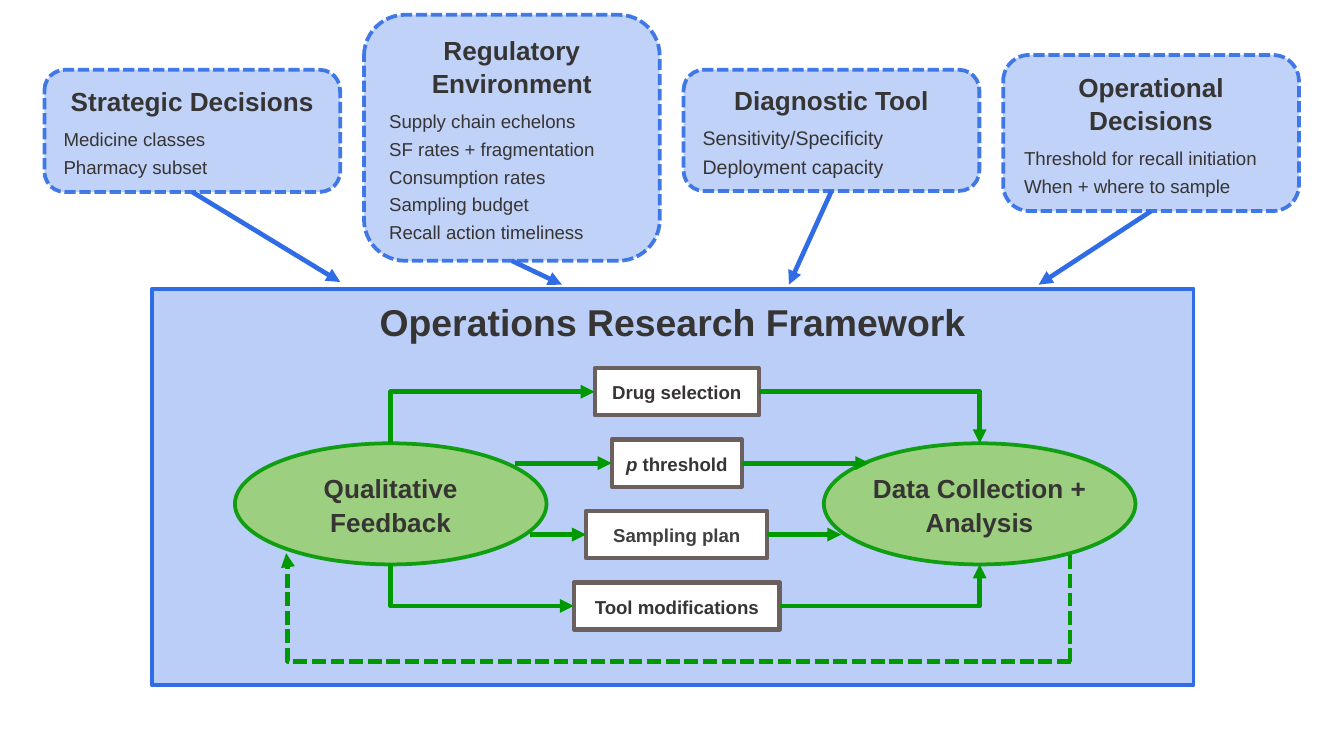
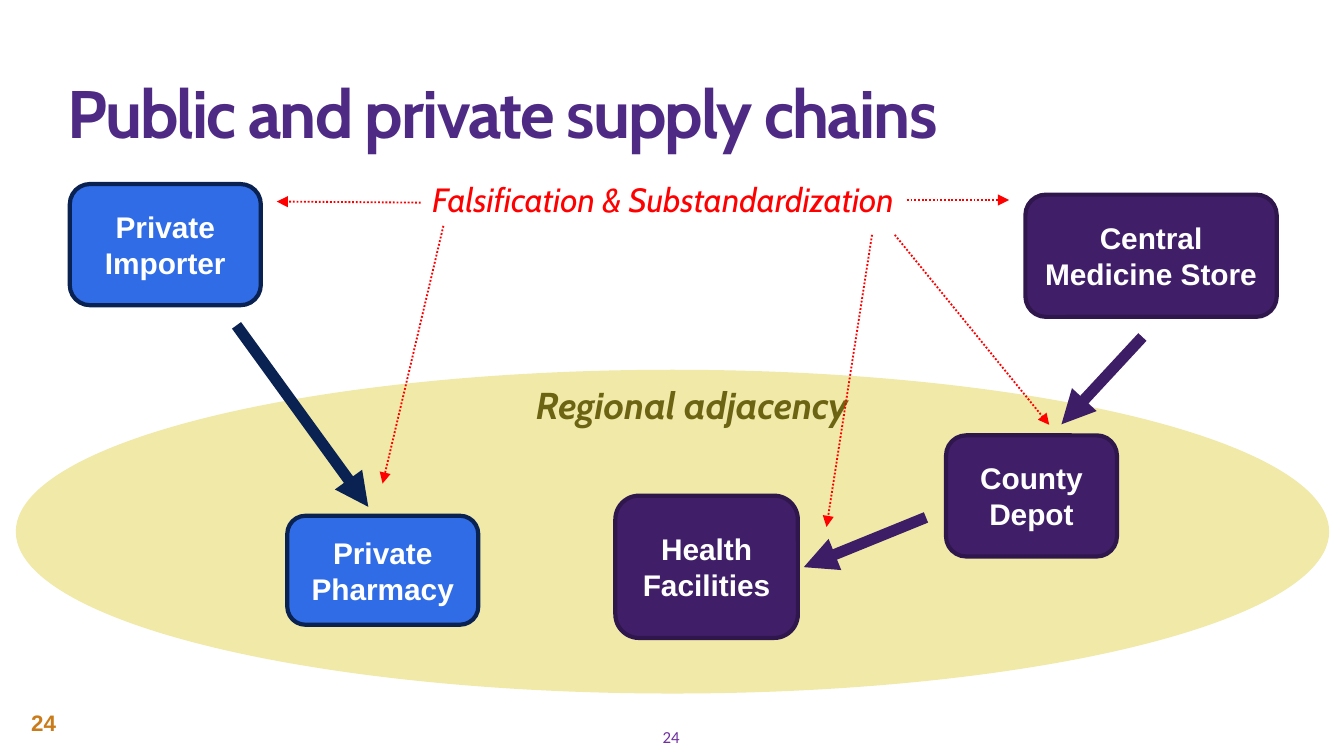
from lxml import etree
from pptx import Presentation
from pptx import util as u
from pptx.dml.color import RGBColor
from pptx.enum import dml, shapes, text
from pptx.oxml.ns import qn

WHITE = RGBColor(0xFF, 0xFF, 0xFF)
INK = RGBColor(0x37, 0x34, 0x34)
GREY_INK = RGBColor(0x40, 0x40, 0x40)
BLUE = RGBColor(0x2F, 0x6C, 0xE6)
PALE_BLUE = RGBColor(0xBA, 0xCE, 0xF7)
NAVY = RGBColor(0x0A, 0x22, 0x51)
GREEN = RGBColor(0x00, 0x99, 0x00)
LIME = RGBColor(0x92, 0xD0, 0x50)
TAUPE = RGBColor(0x6B, 0x60, 0x5E)
PURPLE = RGBColor(0x40, 0x1F, 0x68)
DARK_PURPLE = RGBColor(0x2F, 0x17, 0x4D)
ARROW_PURPLE = RGBColor(0x3E, 0x1D, 0x67)
TITLE_PURPLE = RGBColor(0x4E, 0x2A, 0x84)
PAGE_PURPLE = RGBColor(0x70, 0x30, 0xA0)
ORANGE = RGBColor(0xCA, 0x7C, 0x1B)
SAND = RGBColor(0xF0, 0xE9, 0xA8)
OLIVE = RGBColor(0x6C, 0x64, 0x13)
RED = RGBColor(0xFF, 0x00, 0x00)

RECT = shapes.MSO_SHAPE.RECTANGLE
ROUND = shapes.MSO_SHAPE.ROUNDED_RECTANGLE
OVAL = shapes.MSO_SHAPE.OVAL
STRAIGHT = shapes.MSO_CONNECTOR.STRAIGHT
ELBOW = shapes.MSO_CONNECTOR.ELBOW
DASHED = dml.MSO_LINE.SQUARE_DOT
DOTTED = dml.MSO_LINE.ROUND_DOT
LEFT, CENTER = text.PP_ALIGN.LEFT, text.PP_ALIGN.CENTER
TOP, MIDDLE, BOTTOM = (text.MSO_ANCHOR.TOP, text.MSO_ANCHOR.MIDDLE,
                       text.MSO_ANCHOR.BOTTOM)
SIDE_INSETS = (0.25, 0, 0.25, 0)
NO_INSETS = (0, 0, 0, 0)


def cm(*lengths):
    return [u.Cm(n) for n in lengths]


def write(tf, words, size, color=INK, font="Arial", bold=False, italic=False,
          align=CENTER, spacing=None, after=None, para=None):
    p = para
    if p is None:
        p = tf.paragraphs[0]
        if p.runs:
            p = tf.add_paragraph()
    p.alignment = align
    if spacing:
        p.line_spacing = spacing
    if after is not None:
        p.space_after = u.Pt(after)
    r = p.add_run()
    r.text = words
    r.font.name, r.font.size = font, u.Pt(size)
    r.font.bold, r.font.italic = bold, italic
    r.font.color.rgb = color
    return r


def frame(sp, anchor=MIDDLE, insets=(0.25, 0.13, 0.25, 0.13)):
    tf = sp.text_frame
    tf.word_wrap = True
    tf.vertical_anchor = anchor
    tf.margin_left, tf.margin_top, tf.margin_right, tf.margin_bottom = cm(*insets)
    return tf


def set_alpha(props, percent):
    for clr in props.findall(qn("a:solidFill") + "/" + qn("a:srgbClr")):
        etree.SubElement(clr, qn("a:alpha")).set("val", str(percent * 1000))


def add_box(slide, kind, box, fill, line=None, width=2, dash=None,
            fill_alpha=None, line_alpha=None):
    sp = slide.shapes.add_shape(kind, *cm(*box))
    sp.shadow.inherit = False
    sp.fill.solid()
    sp.fill.fore_color.rgb = fill
    if line is None:
        sp.line.fill.background()
    else:
        sp.line.color.rgb = line
        sp.line.width = u.Pt(width)
        if dash:
            sp.line.dash_style = dash
    props = sp.element.spPr
    if fill_alpha:
        set_alpha(props, fill_alpha)
    if line_alpha:
        set_alpha(props.find(qn("a:ln")), line_alpha)
    return sp


def add_label(slide, box, words, size, anchor=TOP,
              insets=(0.25, 0.13, 0.25, 0.13), **fmt):
    sp = slide.shapes.add_textbox(*cm(*box))
    write(frame(sp, anchor, insets), words, size, **fmt)


def add_line(parent, start, end, color, width=2.5, dash=None, arrow="tailEnd",
             kind=STRAIGHT):
    c = parent.shapes.add_connector(kind, *cm(*start, *end))
    c.line.color.rgb = color
    c.line.width = u.Pt(width)
    if dash:
        c.line.dash_style = dash
    props = c.element.spPr
    if arrow:
        etree.SubElement(props.find(qn("a:ln")), qn("a:" + arrow)).set("type", "triangle")
    etree.SubElement(props, qn("a:effectLst"))
    return c


def add_corner(slide, box, side, oval, at_top, arrow):
    c = add_line(slide, (0, 0), (1, 1), GREEN, arrow=arrow, kind=ELBOW)
    c.element.spPr.find(qn("a:prstGeom")).set("prst", "bentConnector2")
    c.begin_connect(box, side)
    c.end_connect(oval, 0 if at_top else 2)
    if not at_top:
        next(c.element.iter(qn("a:endCxn"))).set("idx", "4")


def input_card(slide, box, heading, items, size, target):
    sp = add_box(slide, ROUND, box, PALE_BLUE, BLUE, dash=DASHED,
                 fill_alpha=90, line_alpha=90)
    tf = frame(sp, insets=SIDE_INSETS)
    write(tf, heading, 14, bold=True, spacing=1.07, after=5)
    for item in items:
        write(tf, item, size, align=LEFT, spacing=1.07, after=2)
    c = add_line(slide, (0, 0), target, BLUE)
    c.begin_connect(sp, 2)


def framework(slide, box):
    x, y, w, h = box
    sp = add_box(slide, RECT, box, PALE_BLUE, BLUE)
    write(frame(sp, TOP), "Operations Research Framework", 20, bold=True,
          spacing=1.07, after=8)

    ovals = []
    for dx, words in ((1.57, "Qualitative Feedback"),
                      (12.7, "Data Collection + Analysis")):
        sp = add_box(slide, OVAL, (x + dx, y + 2.92, 5.89, 2.29), LIME, GREEN,
                     fill_alpha=70, line_alpha=90)
        write(frame(sp, insets=NO_INSETS), words, 14, bold=True, spacing=1.07, after=8)
        ovals.append(sp)
    feedback, data = ovals

    steps = (("", "Drug selection", 3.1, INK, None),
             ("p", " threshold", 2.46, INK, (6.86, 13.56)),
             ("", "Sampling plan", 3.43, GREY_INK, (7.14, 13.03)),
             ("", "Tool modifications", 3.89, INK, None))
    for i, (symbol, words, width, color, ends) in enumerate(steps):
        top = y + 1.5 + 1.35 * i
        sp = add_box(slide, RECT, (x + 9.92 - width / 2, top, width, 0.89),
                     WHITE, TAUPE, 2.25)
        tf = frame(sp, insets=SIDE_INSETS)
        p = tf.paragraphs[0]
        if symbol:
            write(tf, symbol, 10, color, bold=True, italic=True, para=p)
        write(tf, words, 10, color, bold=True, spacing=1.07, after=8, para=p)
        if ends:
            level = top + 0.445
            c = add_line(slide, (x + ends[0], level), (x, level), GREEN)
            c.end_connect(sp, 1)
            c = add_line(slide, (x, level), (x + ends[1], level), GREEN)
            c.begin_connect(sp, 3)
        else:
            add_corner(slide, sp, 1, feedback, i == 0, "headEnd")
            add_corner(slide, sp, 3, data, i == 0, "tailEnd")

    loop = slide.shapes.add_group_shape()
    c = add_line(loop, (x + 17.37, y + 7.04), (x + 2.54, y + 5), GREEN,
                 dash=DASHED, kind=ELBOW)
    c.element.spPr.find(qn("a:prstGeom")).get_or_add_avLst()
    guide = etree.SubElement(next(c.element.iter(qn("a:avLst"))), qn("a:gd"))
    guide.set("name", "adj1")
    guide.set("fmla", "val 99800")
    add_line(loop, (x + 17.35, y + 7.06), (x + 17.35, y + 5.03), GREEN,
             dash=DASHED, arrow=None)


def framework_slide(prs):
    slide = prs.slides.add_slide(prs.slide_layouts[6])
    framework(slide, (2.87, 5.46, 19.69, 7.49))
    cards = (
        (1.32, 2.31, "Strategic Decisions",
         ("Medicine classes", "Pharmacy subset"), 10, (6.43, 5.33)),
        (0.28, 4.65, "Regulatory Environment",
         ("Supply chain echelons", "SF rates + fragmentation", "Consumption rates",
          "Sampling budget", "Recall action timeliness"), 10, (10.62, 5.38)),
        (1.32, 2.29, "Diagnostic Tool",
         ("Sensitivity/Specificity", "Deployment capacity"), 10.5, (14.91, 5.38)),
        (1.04, 2.95, "Operational Decisions",
         ("Threshold for recall initiation", "When + where to sample"), 10, (19.63, 5.38)),
    )
    for i, (top, height, *content) in enumerate(cards):
        input_card(slide, (0.84 + 6.04 * i, top, 5.59, height), *content)


def set_title(slide, box, words):
    title = slide.shapes.title
    title.left, title.top, title.width, title.height = cm(*box)
    tf = frame(title, BOTTOM, NO_INSETS)
    tf.auto_size = text.MSO_AUTO_SIZE.NONE
    r = write(tf, words, 36, TITLE_PURPLE, "Cabin", bold=True, align=LEFT, spacing=0.85)
    r.font._element.set("spc", "-100")


def region(slide, box):
    x, y, w, h = box
    add_box(slide, OVAL, box, SAND)
    add_label(slide, (x + 9.58, y + 0.1, 6.68, 1.12), "Regional adjacency", 20,
              color=OLIVE, font="Cabin", bold=True, italic=True, align=LEFT)


def chain(slide, origin, nodes, arrows, fill, line, arrow_color):
    x, y = origin
    for words, dx, dy, w, h in nodes:
        sp = add_box(slide, ROUND, (x + dx, y + dy, w, h), fill, line, 2.25)
        write(frame(sp), words, 16, WHITE, bold=True)
    for x1, y1, x2, y2 in arrows:
        add_line(slide, (x + x1, y + y1), (x + x2, y + y2), arrow_color, 6)


def threats(slide, box):
    x, y, w, h = box
    add_label(slide, box, "Falsification & Substandardization", 18, color=RED,
              font="Cabin", italic=True, align=LEFT)
    for x1, y1, x2, y2 in ((0.03, 0.58, -2.69, 0.56), (0.46, 1.02, -0.69, 5.89),
                           (8.56, 1.19, 7.7, 6.71), (8.99, 1.19, 11.91, 4.78),
                           (9.22, 0.53, 11.15, 0.53)):
        add_line(slide, (x + x1, y + y1), (x + x2, y + y2), RED, 1, DOTTED)


def supply_slide(prs):
    slide = prs.slides.add_slide(prs.slide_layouts[5])
    set_title(slide, (1.27, 0.58, 23.32, 2.29), "Public and private supply chains")
    region(slide, (0.3, 6.99, 24.82, 6.12))
    add_label(slide, (10.46, 13.67, 4.45, 0.51), "24", 9, MIDDLE,
              color=PAGE_PURPLE, font="Calibri")
    add_label(slide, (0.38, 13.28, 0.94, 0.76), "24", 12, MIDDLE,
              (0.08, 0.13, 0.13, 0.13), color=ORANGE, bold=True)
    chain(slide, (1.32, 3.48),
          (("Private Importer", 0, 0, 3.61, 2.29),
           ("Private Pharmacy", 4.11, 6.27, 3.61, 2.06)),
          ((3.15, 2.67, 5.64, 6.1),), BLUE, NAVY, NAVY)
    chain(slide, (11.63, 3.68),
          (("Central Medicine Store", 7.75, 0, 4.75, 2.31),
           ("County Depot", 6.25, 4.55, 3.23, 2.29),
           ("Health Facilities", 0, 5.69, 3.45, 2.69)),
          ((9.96, 2.69, 8.43, 4.34), (5.87, 6.1, 3.56, 7.04)),
          PURPLE, DARK_PURPLE, ARROW_PURPLE)
    threats(slide, (7.92, 3.25, 9.58, 1.02))


def main():
    prs = Presentation()
    prs.slide_width, prs.slide_height = cm(25.4, 14.29)
    framework_slide(prs)
    supply_slide(prs)
    prs.save("out.pptx")


if __name__ == "__main__":
    main()
